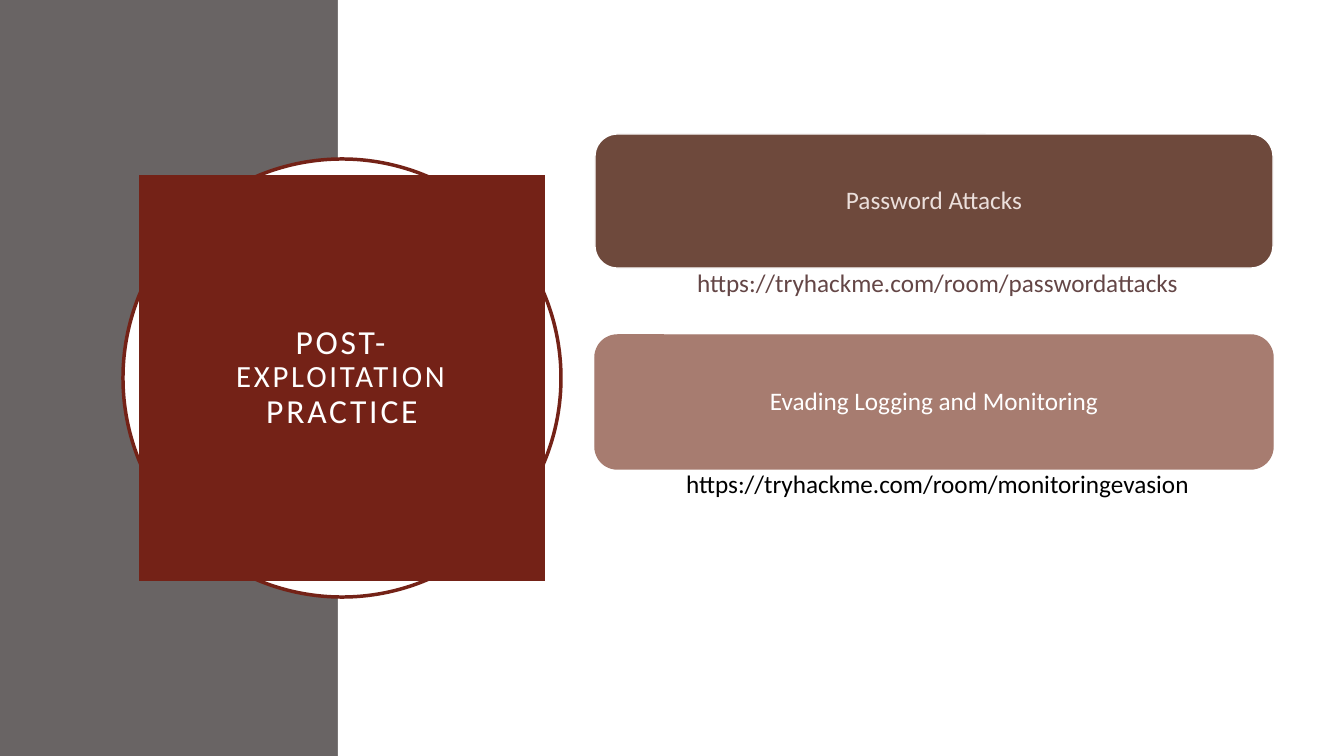
"""Builds the post-exploitation practice slide with its two training rooms."""
import pptx
import pptx.util
import pptx.dml.color
import pptx.enum.shapes
import pptx.enum.text

PX = 914400 / 100.8
COLORS = {
    "band": "696464", "white": "FFFFFF", "maroon": "742217",
    "brown": "6E493C", "cream": "EBDFDB", "plum": "644646",
    "rose": "A77C70", "black": "000000",
}
SHAPE = pptx.enum.shapes.MSO_SHAPE
ANCHOR = pptx.enum.text.MSO_ANCHOR


def add_block(kind, place, fill, line=None, width=1):
    box = page.shapes.add_shape(kind, *[round(value * PX) for value in place])
    box.shadow.inherit = False
    box.fill.solid()
    box.fill.fore_color.rgb = pptx.dml.color.RGBColor.from_string(COLORS[fill])
    if line:
        box.line.color.rgb = pptx.dml.color.RGBColor.from_string(COLORS[line])
        box.line.width = pptx.util.Pt(width)
    else:
        box.line.fill.background()
    return box


def set_text(box, lines, color, margins, anchor, spacing=0):
    frame = box.text_frame
    sides = ("margin_left", "margin_top", "margin_right", "margin_bottom")
    layout = {side: round(value * PX) for side, value in zip(sides, margins)}
    layout |= {"word_wrap": True, "vertical_anchor": anchor,
               "auto_size": pptx.enum.text.MSO_AUTO_SIZE.NONE}
    for name, value in layout.items():
        setattr(frame, name, value)
    para = frame.paragraphs[0]
    para.alignment = pptx.enum.text.PP_ALIGN.CENTER
    para.line_spacing = 0.9
    for index, (text, size) in enumerate(lines):
        if index:
            para.add_line_break()
        span = para.add_run()
        span.text = text
        for name, value in {"name": "Calibri", "size": pptx.util.Pt(size)}.items():
            setattr(span.font, name, value)
        span.font.color.rgb = pptx.dml.color.RGBColor.from_string(COLORS[color])
        if spacing:
            span.font._element.set("spc", str(spacing * 100))


deck = pptx.Presentation()
deck.slide_width = round(1344 * PX)
deck.slide_height = round(756 * PX)
page = deck.slides.add_slide(deck.slide_layouts[5])

add_block(SHAPE.RECTANGLE, (0, 0, 338, 756), "band")
add_block(SHAPE.RECTANGLE, (338, 0, 1006, 756), "white")
add_block(SHAPE.OVAL, (123, 159, 438, 438), "white", "maroon", 2.5)

title = page.shapes.title
title_place = {"left": 139, "top": 175, "width": 406, "height": 406}
for name, value in title_place.items():
    setattr(title, name, round(value * PX))
title.fill.solid()
title.fill.fore_color.rgb = pptx.dml.color.RGBColor.from_string(COLORS["maroon"])
set_text(title, [("POST-", 24), ("EXPLOITATION", 22), ("PRACTICE", 24)],
         "white", (20, 20, 20, 20), ANCHOR.MIDDLE, spacing=2)
title.element.getparent().append(title.element)

rooms = [
    ("Password Attacks", "brown", "white", "cream",
     "https://tryhackme.com/room/passwordattacks", "plum", 67),
    ("Evading Logging and Monitoring", "rose", "rose", "white",
     "https://tryhackme.com/room/monitoringevasion", "black", 119),
]
CARD_LEFT, CARD_TOP, CARD_WIDTH, CARD_HEIGHT, CARD_STEP = 595, 134, 678, 134, 201
for index, (topic, fill, line, color, link, link_color, link_height) in enumerate(rooms):
    top = CARD_TOP + index * CARD_STEP
    card = add_block(SHAPE.ROUNDED_RECTANGLE,
                     (CARD_LEFT, top, CARD_WIDTH, CARD_HEIGHT), fill, line)
    set_text(card, [(topic, 18)], color, (14, 14, 14, 14), ANCHOR.MIDDLE)
    link_place = (CARD_LEFT, top + CARD_HEIGHT, CARD_WIDTH, link_height)
    link_box = page.shapes.add_textbox(*[round(value * PX) for value in link_place])
    set_text(link_box, [(link, 18)], link_color, (21, 3, 14, 3), ANCHOR.TOP)

deck.save("out.pptx")
